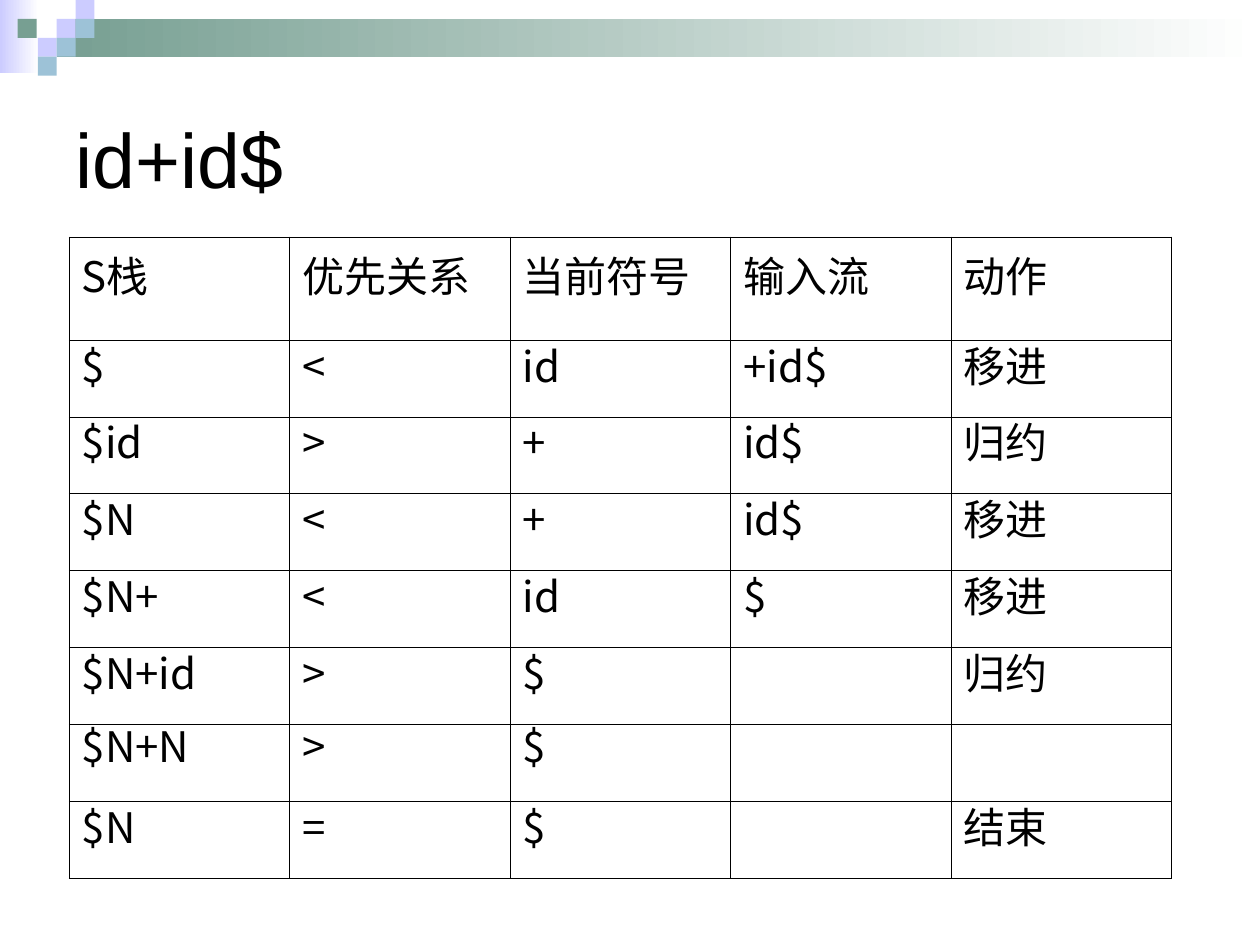
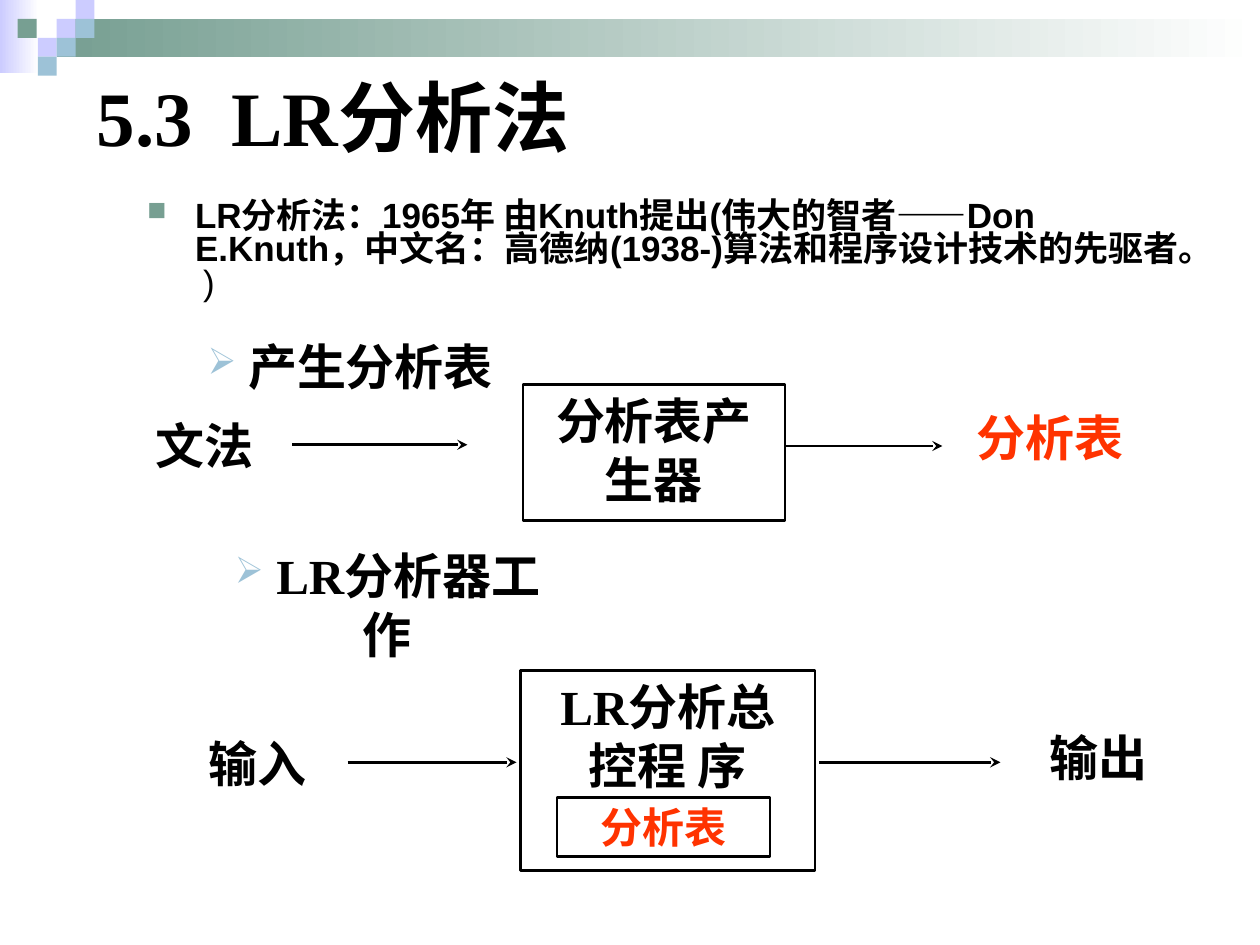
from itertools import groupby

from lxml.etree import SubElement
from pptx import Presentation
from pptx.dml.color import RGBColor
from pptx.enum.shapes import MSO_CONNECTOR, MSO_SHAPE
from pptx.enum.text import MSO_ANCHOR, PP_ALIGN
from pptx.oxml.ns import qn
from pptx.util import Emu, Pt

PX = 9144  # 100 px to the inch
COLORS = {
    "text": "000000",
    "paper": "FFFFFF",
    "green": "779F92",
    "lilac": "CCCCFF",
    "blue": "9DC2D7",
    "accent": "FF3300",
}
SANS, SERIF = "Arial", "Times New Roman"
CELL_LATIN, CELL_CHINESE = "Noto Sans CJK SC", "Calibri"
CHINESE = "Noto Sans CJK SC"

TILE = 15
TILES = [
    (45, 15, "lilac"),
    (60, 0, "lilac"),
    (60, 15, "blue"),
    (30, 30, "lilac"),
    (14, 15, "green"),
    (45, 30, "blue"),
    (30, 45, "blue"),
]

PARSE_STEPS = [
    ["S栈", "优先关系", "当前符号", "输入流", "动作"],
    ["$", "<", "id", "+id$", "移进"],
    ["$id", ">", "+", "id$", "归约"],
    ["$N", "<", "+", "id$", "移进"],
    ["$N+", "<", "id", "$", "移进"],
    ["$N+id", ">", "$", "", "归约"],
    ["$N+N", ">", "$", "", ""],
    ["$N", "=", "$", "", "结束"],
]
TIGHT_ROW = 6


def px(*lengths):
    return [Emu(length * PX) for length in lengths]


def rgb(color):
    return RGBColor.from_string(COLORS[color])


class Deck:
    """Holds the presentation, its style and the slide being built."""

    def __init__(self):
        self.presentation = Presentation()
        self.presentation.slide_width, self.presentation.slide_height = px(1000, 750)
        self.slide = None

    def new_slide(self):
        self.slide = self.presentation.slides.add_slide(self.presentation.slide_layouts[6])
        self.gradient_band(0, 0, 31, 58, "lilac")
        self.gradient_band(45, 15, 955, 30, "green")
        for left, top, color in TILES:
            tile = self.rectangle(left, top, TILE, TILE)
            tile.fill.solid()
            tile.fill.fore_color.rgb = rgb(color)

    def rectangle(self, left, top, width, height):
        shape = self.slide.shapes.add_shape(MSO_SHAPE.RECTANGLE, *px(left, top, width, height))
        shape.shadow.inherit = False
        shape.line.fill.background()
        return shape

    def gradient_band(self, left, top, width, height, color):
        """Draw a band that fades from a colour to the paper, left to right."""
        fill = self.rectangle(left, top, width, height).fill
        fill.gradient()
        fill.gradient_angle = 0
        for stop, stop_color in zip(fill.gradient_stops, (color, "paper")):
            stop.color.rgb = rgb(stop_color)

    def format_run(self, run, size, font, color="text", bold=False):
        run.font.size = Pt(size)
        run.font.bold = bold
        run.font.color.rgb = rgb(color)
        run.font.name = font
        SubElement(run._r.get_or_add_rPr(), qn("a:ea"), typeface=CHINESE)

    def set_text(self, shape, text, size, font, color="text", bold=True,
                 align=PP_ALIGN.LEFT, anchor=MSO_ANCHOR.MIDDLE, wrap=True):
        frame = shape.text_frame
        frame.text = text
        frame.word_wrap = wrap
        frame.vertical_anchor = anchor
        paragraph = frame.paragraphs[0]
        paragraph.alignment = align
        self.format_run(paragraph.runs[0], size, font, color, bold)
        return paragraph

    def text_box(self, left, top, width, height, text, size, font, **style):
        shape = self.slide.shapes.add_textbox(*px(left, top, width, height))
        return self.set_text(shape, text, size, font, **style)

    def title(self, left, top, width, height, text, font, bold):
        self.text_box(left, top, width, height, text, 44, font, bold=bold)

    def label(self, left, top, width, height, text, color="text"):
        return self.text_box(left, top, width, height, text, 28, SERIF, color=color,
                             align=PP_ALIGN.CENTER, wrap=False)

    def box(self, left, top, width, height, text, size=28, **style):
        shape = self.rectangle(left, top, width, height)
        shape.fill.background()
        shape.line.color.rgb = rgb("text")
        shape.line.width = Pt(1.5)
        self.set_text(shape, text, size, SERIF, align=PP_ALIGN.CENTER, **style)

    def bullet(self, paragraph, character, color, hanging=0):
        properties = paragraph._p.get_or_add_pPr()
        properties.set("marL", str(hanging * PX))
        properties.set("indent", str(-hanging * PX))
        bullet_color = SubElement(properties, qn("a:buClr"))
        SubElement(bullet_color, qn("a:srgbClr"), val=COLORS[color])
        SubElement(properties, qn("a:buSzPct"), val="75000")
        SubElement(properties, qn("a:buChar"), char=character)

    def step_heading(self, left, top, width, height, text):
        self.bullet(self.label(left, top, width, height, text), "➢", "blue")

    def arrow(self, start, end, y):
        connector = self.slide.shapes.add_connector(
            MSO_CONNECTOR.STRAIGHT, *px(start, y, end, y))
        connector.line.color.rgb = rgb("text")
        connector.line.width = Pt(1.5)
        properties = connector.element.spPr
        SubElement(properties.find(qn("a:ln")), qn("a:tailEnd"), type="stealth")
        SubElement(properties, qn("a:effectLst"))

    def cell_borders(self, cell):
        properties = cell._tc.get_or_add_tcPr()
        for index, side in enumerate(("lnL", "lnR", "lnT", "lnB")):
            line = SubElement(properties, qn(f"a:{side}"), w=str(int(Pt(0.45))))
            fill = SubElement(line, qn("a:solidFill"))
            SubElement(fill, qn("a:srgbClr"), val=COLORS["text"])
            properties.insert(index, line)

    def fill_cell(self, cell, text, line_spacing):
        cell.vertical_anchor = MSO_ANCHOR.MIDDLE
        cell.fill.background()
        self.cell_borders(cell)
        paragraph = cell.text_frame.paragraphs[0]
        paragraph.line_spacing = Pt(line_spacing)
        for is_latin, characters in groupby(text, str.isascii):
            run = paragraph.add_run()
            run.text = "".join(characters)
            self.format_run(run, 24, CELL_LATIN if is_latin else CELL_CHINESE)

    def table(self, left, top, column_width, header_height, row_height, rows):
        columns = len(rows[0])
        height = header_height + row_height * (len(rows) - 1)
        table = self.slide.shapes.add_table(
            len(rows), columns, *px(left, top, column_width * columns, height)).table
        table.first_row = table.horz_banding = False
        for column in table.columns:
            column.width = Emu(column_width * PX)
        for row_index, texts in enumerate(rows):
            table.rows[row_index].height = Emu((row_height if row_index else header_height) * PX)
            line_spacing = 14.2 if row_index == TIGHT_ROW else 18
            for column_index, text in enumerate(texts):
                self.fill_cell(table.cell(row_index, column_index), text, line_spacing)


def build_parse_steps(deck):
    deck.new_slide()
    deck.title(50, 50, 900, 150, "id+id$", SANS, bold=False)
    deck.table(55, 188, 175, 82, 61, PARSE_STEPS)


def build_lr_method(deck):
    deck.new_slide()
    deck.title(67, 50, 917, 83, "5.3  LR分析法", SERIF, bold=True)

    history = deck.text_box(
        107, 155, 842, 100,
        "LR分析法：1965年 由Knuth提出(伟大的智者——Don E.Knuth，"
        "中文名：高德纳(1938-)算法和程序设计技术的先驱者。 ",
        20, SANS, anchor=MSO_ANCHOR.TOP)
    deck.bullet(history, "■", "green", hanging=38)
    history.line_spacing = 0.8
    closing = history.add_run()
    closing.text = ")"
    deck.format_run(closing, 20, SANS)

    deck.step_heading(153, 257, 250, 67, " 产生分析表")
    deck.label(83, 320, 159, 67, "文法")
    deck.arrow(232, 371, 353)
    deck.box(415, 305, 208, 108, "分析表产生器", anchor=MSO_ANCHOR.TOP)
    deck.arrow(624, 748, 354)
    deck.label(757, 313, 152, 67, "分析表", color="accent")

    deck.step_heading(174, 446, 267, 67, " LR分析器工作")
    deck.label(122, 572, 165, 67, "输入")
    deck.arrow(276, 410, 605)
    deck.box(413, 532, 234, 159, "LR分析总 控程 序", anchor=MSO_ANCHOR.TOP)
    deck.box(442, 633, 169, 47, "分析表", size=24, color="accent", wrap=False)
    deck.arrow(650, 794, 605)
    deck.label(794, 572, 155, 58, "输出")


def main():
    deck = Deck()
    build_parse_steps(deck)
    build_lr_method(deck)
    deck.presentation.save("out.pptx")


if __name__ == "__main__":
    main()
